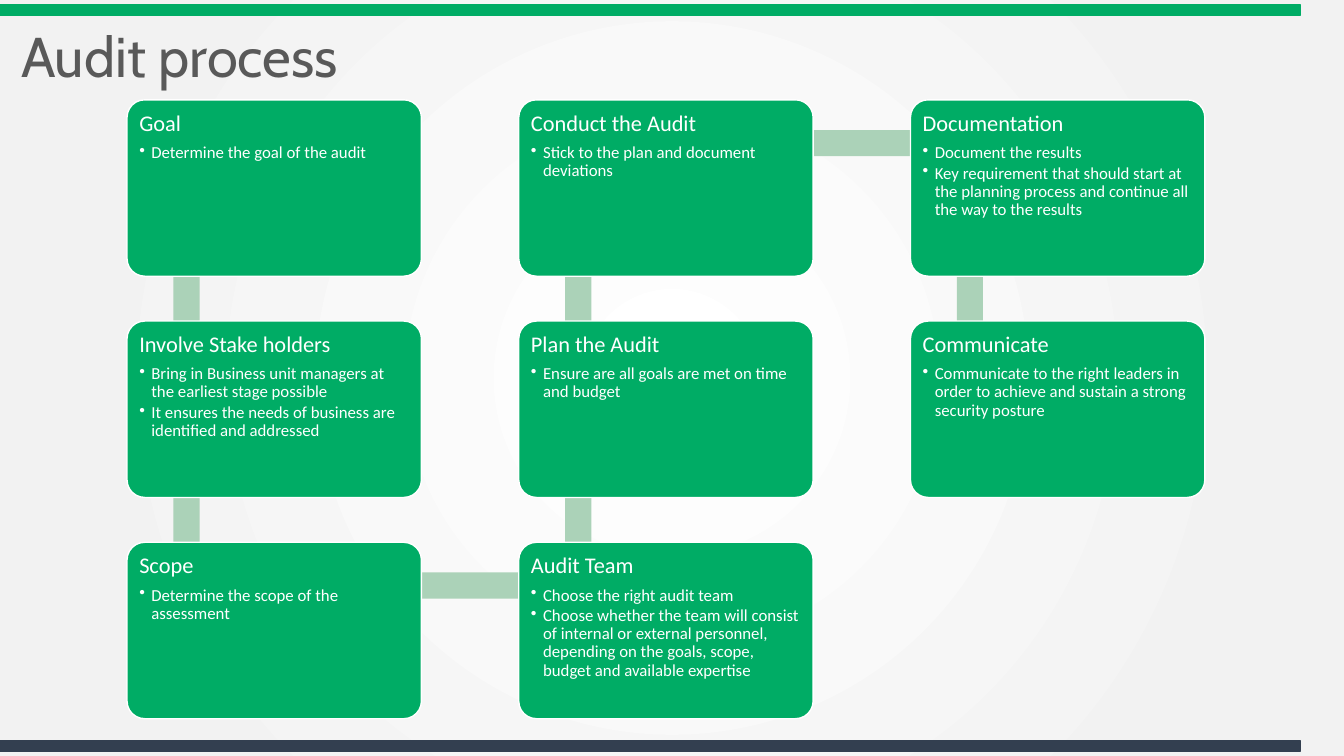
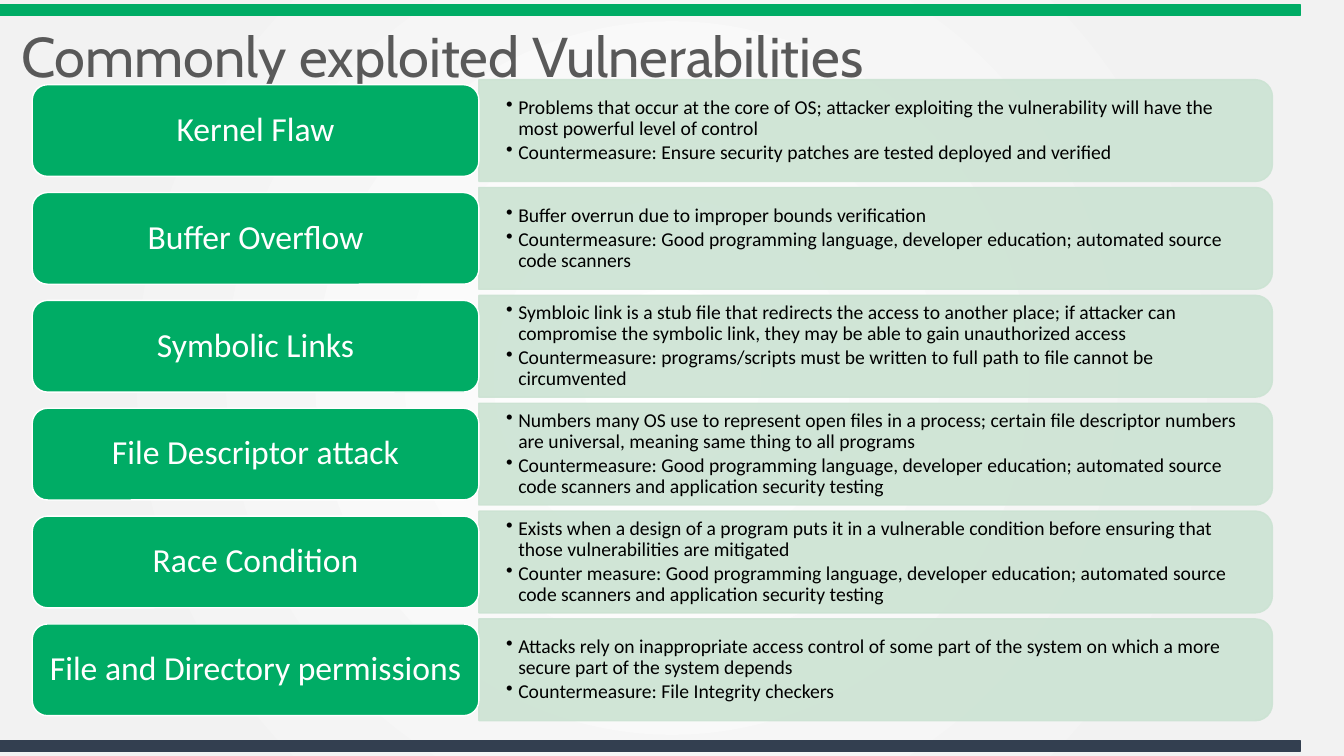
from dataclasses import dataclass

from lxml import etree
from pptx import Presentation
from pptx.dml.color import RGBColor
from pptx.enum.shapes import MSO_SHAPE
from pptx.enum.text import MSO_ANCHOR, PP_ALIGN
from pptx.oxml import parse_xml
from pptx.oxml.ns import qn
from pptx.shapes.autoshape import Shape
from pptx.slide import Slide
from pptx.text.text import TextFrame
from pptx.util import Inches, Pt

RECT = MSO_SHAPE.RECTANGLE
ROUND = MSO_SHAPE.ROUNDED_RECTANGLE
TAB = MSO_SHAPE.ROUND_2_SAME_RECTANGLE
TOP, MIDDLE = MSO_ANCHOR.TOP, MSO_ANCHOR.MIDDLE
LEFT, CENTER = PP_ALIGN.LEFT, PP_ALIGN.CENTER

GREEN, NAVY, WHITE, BLACK = "00AC65", "333F50", "FFFFFF", "000000"
GREY, MIST, SAGE, PALE = "595959", "F2F2F2", "ABD2B8", "CCE3D3"
HEAD, BODY = "Cabin", "Calibri"

# Audit grid: card size, distance between cards, anchor of the links
CARD_W, CARD_H = 2.92, 1.75
STEP_X, STEP_Y = 3.885, 2.195
CARD_X, CARD_Y = 1.26, 0.99
HOOK_X, HOOK_Y, THICK = 0.59, 0.43, 0.26

# Vulnerability rows: label on the left, panel on the right
ROW_Y, ROW_H, ROW_STEP = 0.84, 0.91, 1.07
LABEL_X, LABEL_W = 0.32, 4.43
PANEL_X, PANEL_W, PANEL_H = 4.75, 7.87, 1.01


@dataclass
class Card:
    col: int
    row: int
    head: str
    points: list[str]

    @property
    def left(self) -> float:
        return CARD_X + self.col * STEP_X

    @property
    def top(self) -> float:
        return CARD_Y + self.row * STEP_Y


@dataclass
class Flaw:
    name: str
    points: list[str]


CARDS = [
    Card(0, 0, "Goal", ["Determine the goal of the audit"]),
    Card(0, 1, "Involve Stake holders", [
        "Bring in Business unit managers at the earliest stage possible",
        "It ensures the needs of business are identified and addressed"]),
    Card(0, 2, "Scope", ["Determine the scope of the assessment"]),
    Card(1, 2, "Audit Team", [
        "Choose the right audit team",
        "Choose whether the team will consist of internal or external personnel, "
        "depending on the goals, scope, budget and available expertise"]),
    Card(1, 1, "Plan the Audit", ["Ensure are all goals are met on time and budget"]),
    Card(1, 0, "Conduct the Audit", ["Stick to the plan and document deviations"]),
    Card(2, 0, "Documentation", [
        "Document the results",
        "Key requirement that should start at the planning process and continue "
        "all the way to the results"]),
    Card(2, 1, "Communicate", [
        "Communicate to the right leaders in order to achieve and sustain a "
        "strong security posture"]),
]

FLAWS = [
    Flaw("Kernel Flaw", [
        "Problems that occur at the core of OS; attacker exploiting the "
        "vulnerability will have the most powerful level of control",
        "Countermeasure: Ensure security patches are tested deployed and verified"]),
    Flaw("Buffer Overflow", [
        "Buffer overrun due to improper bounds verification",
        "Countermeasure: Good programming language, developer education; "
        "automated source code scanners"]),
    Flaw("Symbolic Links", [
        "Symbloic link is a stub file that redirects the access to another place; if "
        "attacker can compromise the symbolic link, they may be able to gain "
        "unauthorized access",
        "Countermeasure: programs/scripts must be written to full path to file "
        "cannot be circumvented"]),
    Flaw("File Descriptor attack", [
        "Numbers many OS use to represent open files in a process; certain file "
        "descriptor numbers are universal, meaning same thing to all programs",
        "Countermeasure: Good programming language, developer education; "
        "automated source code scanners and application security testing"]),
    Flaw("Race Condition", [
        "Exists when a design of a program puts it in a vulnerable condition before "
        "ensuring that those vulnerabilities are mitigated",
        "Counter measure: Good programming language, developer education; "
        "automated source code scanners and application security testing"]),
    Flaw("File and Directory permissions", [
        "Attacks rely on inappropriate access control of some part of the system on "
        "which a more secure part of the system depends",
        "Countermeasure: File Integrity checkers"]),
]


def rgb(code: str) -> RGBColor:
    return RGBColor.from_string(code)


def setup(frame: TextFrame, anchor: MSO_ANCHOR, side: float, edge: float) -> None:
    """Wrap the text and set its anchor and margins."""
    frame.word_wrap = True
    frame.vertical_anchor = anchor
    frame.margin_left = frame.margin_right = Inches(side)
    frame.margin_top = frame.margin_bottom = Inches(edge)


def write(frame: TextFrame, text: str, *, size: float, color: str = WHITE,
          font: str = BODY, align: PP_ALIGN = LEFT, after: float = 0,
          bullet: bool = False) -> None:
    """Add one paragraph; after is a share of the font size."""
    first = frame.paragraphs[0]
    para = frame.add_paragraph() if first.runs else first
    para.alignment = align
    para.line_spacing = 0.9
    para.space_before = Pt(0)
    para.space_after = Pt(size * after)
    run = para.add_run()
    run.text = text
    run.font.size = Pt(size)
    run.font.name = font
    run.font.color.rgb = rgb(color)
    if bullet:
        props = para._p.get_or_add_pPr()
        props.set("marL", str(Inches(0.12)))
        props.set("indent", str(-Inches(0.12)))
        etree.SubElement(props, qn("a:buChar")).set("char", "•")


def points(frame: TextFrame, items: list[str], size: float, color: str) -> None:
    for item in items:
        write(frame, item, size=size, color=color, after=0.15, bullet=True)


def box(slide: Slide, kind: MSO_SHAPE, x: float, y: float, w: float, h: float,
        fill: str, line: str | None = None, alpha: int = 100) -> Shape:
    """Draw a preset shape with a plain fill and a 1 pt line."""
    shape = slide.shapes.add_shape(kind, Inches(x), Inches(y), Inches(w), Inches(h))
    shape.shadow.inherit = False
    shape.fill.solid()
    shape.fill.fore_color.rgb = rgb(fill)
    if line:
        shape.line.color.rgb = rgb(line)
        shape.line.width = Pt(1)
    else:
        shape.line.fill.background()
    if alpha < 100:
        for tint in shape.element.spPr.iter(qn("a:srgbClr")):
            etree.SubElement(tint, qn("a:alpha")).set("val", str(alpha * 1000))
    return shape


def backdrop(deck: Presentation) -> None:
    """Give the master a round gradient from white to light grey."""
    master = deck.slide_master
    master.background.fill.gradient()
    old = master.element.find(".//" + qn("p:bgPr")).find(qn("a:gradFill"))
    stops = "".join(
        f'<a:gs pos="{spot * 1000}"><a:srgbClr val="{code}"/></a:gs>'
        for spot, code in ((0, WHITE), (81, MIST), (100, MIST)))
    new = parse_xml(
        '<a:gradFill xmlns:a="http://schemas.openxmlformats.org/drawingml/2006/main" '
        f'rotWithShape="1"><a:gsLst>{stops}</a:gsLst><a:path path="circle">'
        '<a:fillToRect l="50000" t="50000" r="50000" b="50000"/></a:path></a:gradFill>')
    old.getparent().replace(old, new)


def start(deck: Presentation, name: str) -> Slide:
    """Add a slide with the shared title and bands."""
    slide = deck.slides.add_slide(deck.slide_layouts[5])
    title = slide.shapes.title
    title.left, title.top = Inches(0.11), Inches(0.19)
    title.width, title.height = Inches(11.7), Inches(0.8)
    setup(title.text_frame, MIDDLE, 0.1, 0.05)
    write(title.text_frame, name, size=40, color=GREY, font=HEAD)
    for y, color in ((0.05, GREEN), (7.35, NAVY)):
        box(slide, RECT, 0, y, 12.9, 0.1, color, color)
    return slide


def link(slide: Slide, a: Card, b: Card) -> None:
    """Draw the bar that runs behind two neighbouring cards."""
    x = min(a.left, b.left) + HOOK_X
    y = min(a.top, b.top) + HOOK_Y
    if a.row == b.row:
        box(slide, RECT, x, y - THICK / 2, STEP_X, THICK, SAGE)
    else:
        box(slide, RECT, x - THICK / 2, y, THICK, STEP_Y, SAGE)


def audit(deck: Presentation) -> None:
    slide = start(deck, "Audit process")
    for a, b in zip(CARDS, CARDS[1:]):
        link(slide, a, b)
    for card in CARDS:
        shape = box(slide, ROUND, card.left, card.top, CARD_W, CARD_H, GREEN, WHITE)
        shape.adjustments[0] = 0.1
        frame = shape.text_frame
        setup(frame, TOP, 0.07, 0.07)
        write(frame, card.head, size=16, after=0.35)
        points(frame, card.points, 12, WHITE)


def flaws(deck: Presentation) -> None:
    slide = start(deck, "Commonly exploited Vulnerabilities")
    for i, flaw in enumerate(FLAWS):
        y = ROW_Y + i * ROW_STEP
        # Panel: an upright tab turned about its centre
        panel = box(slide, TAB, PANEL_X + (PANEL_W - PANEL_H) / 2,
                    y + (ROW_H - PANEL_W) / 2, PANEL_H, PANEL_W, PALE, PALE, 90)
        panel.rotation = 90
        note = slide.shapes.add_textbox(
            Inches(PANEL_X), Inches(y), Inches(7.82), Inches(ROW_H))
        setup(note.text_frame, MIDDLE, 0.27, 0.14)
        points(note.text_frame, flaw.points, 14, BLACK)
        # Label
        label = box(slide, ROUND, LABEL_X, y, LABEL_W, ROW_H, GREEN, WHITE)
        setup(label.text_frame, MIDDLE, 0.05, 0.05)
        write(label.text_frame, flaw.name, size=24, align=CENTER, after=0.35)


def main() -> None:
    deck = Presentation()
    deck.slide_width, deck.slide_height = Inches(13.33), Inches(7.5)
    backdrop(deck)
    audit(deck)
    flaws(deck)
    deck.save("out.pptx")


if __name__ == "__main__":
    main()
